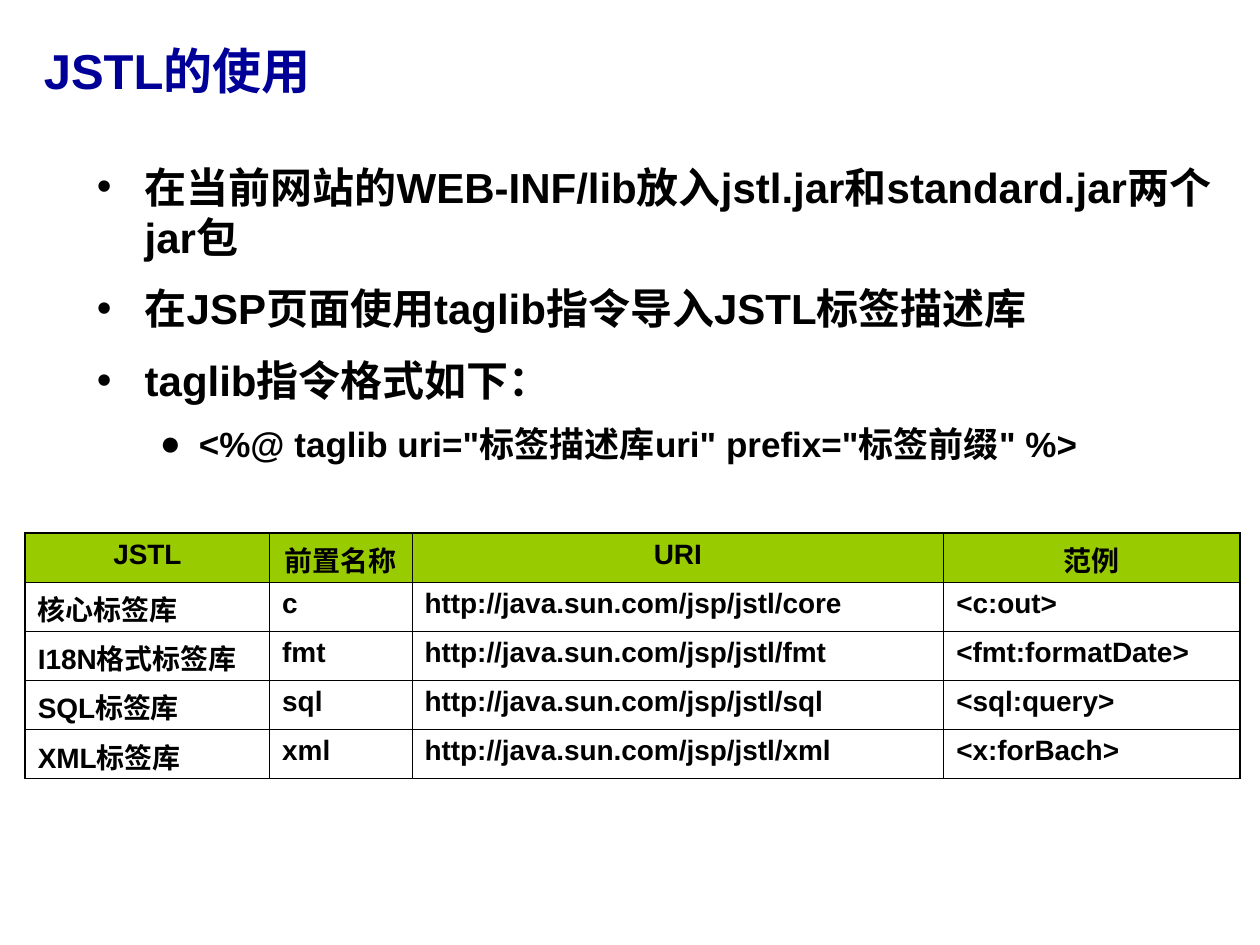
import pptx
import pptx.util
import pptx.dml.color
import pptx.enum.text
import pptx.oxml
import pptx.oxml.ns
from pptx.util import Inches

COLORS = {"title": "000099", "text": "000000", "header": "99CC00", "border": "000000"}
FONT = "Arial"
DRAWING_NS = pptx.oxml.ns.nsdecls("a")
OUTER_LINE, INNER_LINE = 1.08, 0.45

# Bullet levels: character, left margin, hanging indent, size, space before
LEVELS = [("•", 0.38, 0.38, 24, 12), ("●", 0.81, 0.31, 20, 10)]

USAGE_STEPS = [
    (0, "在当前网站的WEB-INF/lib放入jstl.jar和standard.jar两个jar包"),
    (0, "在JSP页面使用taglib指令导入JSTL标签描述库"),
    (0, "taglib指令格式如下："),
    (1, '<%@ taglib uri="标签描述库uri" prefix="标签前缀" %>'),
]

URI_BASE = "http://java.sun.com/jsp/jstl/"
LIBRARIES = [
    ("核心标签库", "c", "core", "<c:out>"),
    ("I18N格式标签库", "fmt", "fmt", "<fmt:formatDate>"),
    ("SQL标签库", "sql", "sql", "<sql:query>"),
    ("XML标签库", "xml", "xml", "<x:forBach>"),
]
LIBRARY_ROWS = [("JSTL", "前置名称", "URI", "范例")] + [
    (name, prefix, URI_BASE + uri, example) for name, prefix, uri, example in LIBRARIES
]


class SlideBuilder:
    def __init__(self, slide):
        self.slide = slide

    def rgb(self, name):
        return pptx.dml.color.RGBColor.from_string(COLORS[name])

    def style(self, paragraph, size, color="text"):
        for run in paragraph.runs:
            run.font.name = FONT
            run.font.size = pptx.util.Pt(size)
            run.font.bold = True
            run.font.color.rgb = self.rgb(color)

    def text_frame(self, left, top, width, height):
        box = self.slide.shapes.add_textbox(
            Inches(left), Inches(top), Inches(width), Inches(height))
        box.text_frame.word_wrap = True
        return box.text_frame

    def title(self, text, *place):
        frame = self.text_frame(*place)
        frame.vertical_anchor = pptx.enum.text.MSO_ANCHOR.MIDDLE
        frame.text = text
        self.style(frame.paragraphs[0], 28, "title")

    def bullets(self, items, *place):
        frame = self.text_frame(*place)
        for index, (level, text) in enumerate(items):
            mark, margin, hanging, size, space = LEVELS[level]
            paragraph = frame.add_paragraph() if index else frame.paragraphs[0]
            paragraph.text = text
            paragraph.level = level
            properties = paragraph._p.get_or_add_pPr()
            properties.set("marL", str(Inches(margin)))
            properties.set("indent", str(-Inches(hanging)))
            for element in (
                f'<a:buClr {DRAWING_NS}><a:srgbClr val="{COLORS["text"]}"/></a:buClr>',
                f'<a:buFont {DRAWING_NS} typeface="{FONT}"/>',
                f'<a:buChar {DRAWING_NS} char="{mark}"/>',
            ):
                properties.append(pptx.oxml.parse_xml(element))
            if index:
                paragraph.space_before = pptx.util.Pt(space)
            self.style(paragraph, size)

    def border(self, cell, side, width):
        line = pptx.oxml.parse_xml(
            f'<a:ln{side} {DRAWING_NS} w="{pptx.util.Pt(width)}"><a:solidFill>'
            f'<a:srgbClr val="{COLORS["border"]}"/></a:solidFill></a:ln{side}>')
        cell._tc.get_or_add_tcPr().append(line)

    def fill_header(self, cell):
        cell.fill.solid()
        cell.fill.fore_color.rgb = self.rgb("header")
        color = cell._tc.tcPr.find(".//" + pptx.oxml.ns.qn("a:srgbClr"))
        color.append(pptx.oxml.parse_xml(f'<a:alpha {DRAWING_NS} val="50000"/>'))

    def table(self, rows, widths, row_height, left, top):
        last_row, last_column = len(rows) - 1, len(widths) - 1
        table = self.slide.shapes.add_table(
            len(rows), len(widths), Inches(left), Inches(top),
            Inches(sum(widths)), Inches(row_height * len(rows))).table
        table.first_row = table.horz_banding = False
        for column, width in zip(table.columns, widths):
            column.width = Inches(width)
        for r, row in enumerate(rows):
            for c, text in enumerate(row):
                cell = table.cell(r, c)
                cell.text = text
                paragraph = cell.text_frame.paragraphs[0]
                self.style(paragraph, 16)
                # Heavier line around the outside of the grid
                edges = {"L": c == 0, "R": c == last_column,
                         "T": r == 0, "B": r == last_row}
                for side, outer in edges.items():
                    self.border(cell, side, OUTER_LINE if outer else INNER_LINE)
                if r == 0:
                    paragraph.alignment = pptx.enum.text.PP_ALIGN.CENTER
                    self.fill_header(cell)
                else:
                    cell.fill.background()


def main():
    presentation = pptx.Presentation()
    presentation.slide_width, presentation.slide_height = Inches(10), Inches(7.5)
    builder = SlideBuilder(presentation.slides.add_slide(presentation.slide_layouts[6]))

    # Heading
    builder.title("JSTL的使用", 0.25, 0.22, 9, 0.67)
    # Tag library overview
    builder.table(LIBRARY_ROWS, [1.94, 1.13, 4.22, 2.35], 0.39, 0.2, 4.23)
    # Steps for using the libraries
    builder.bullets(USAGE_STEPS, 0.67, 1.23, 9.21, 5.51)

    presentation.save("out.pptx")


if __name__ == "__main__":
    main()
